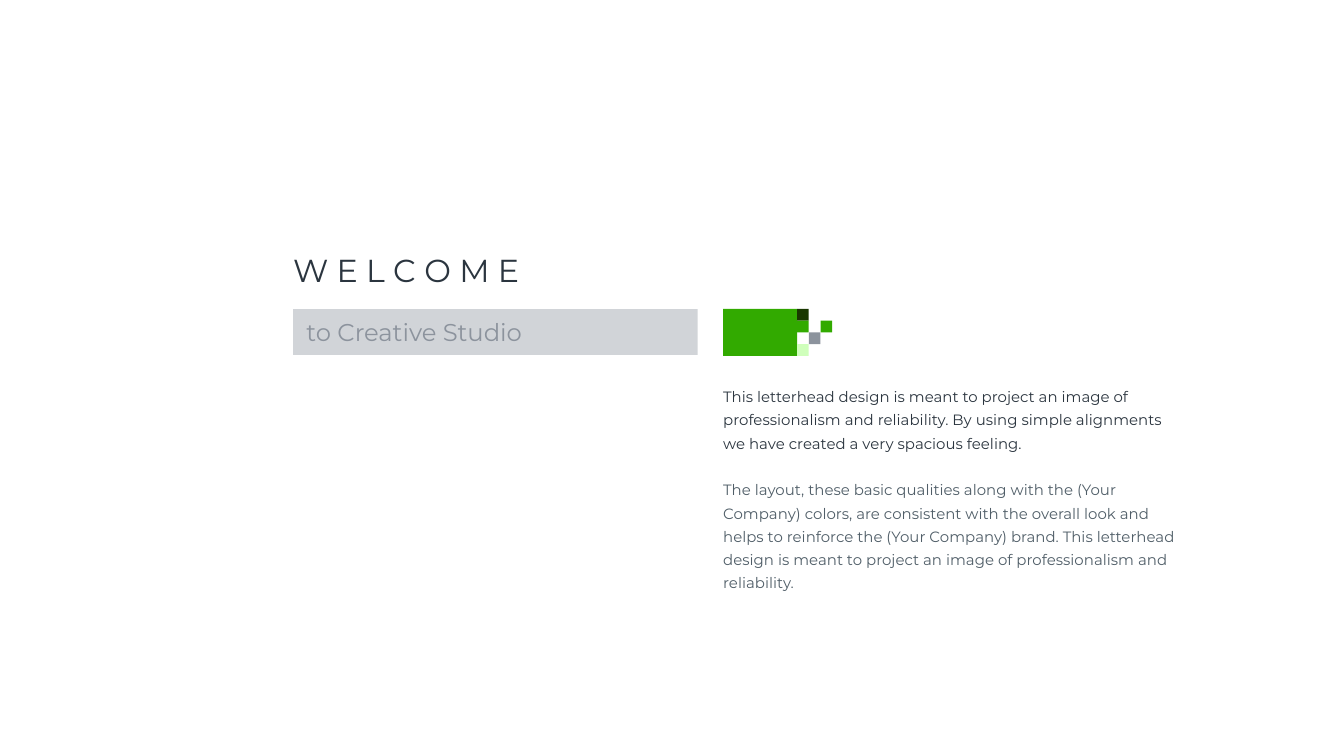
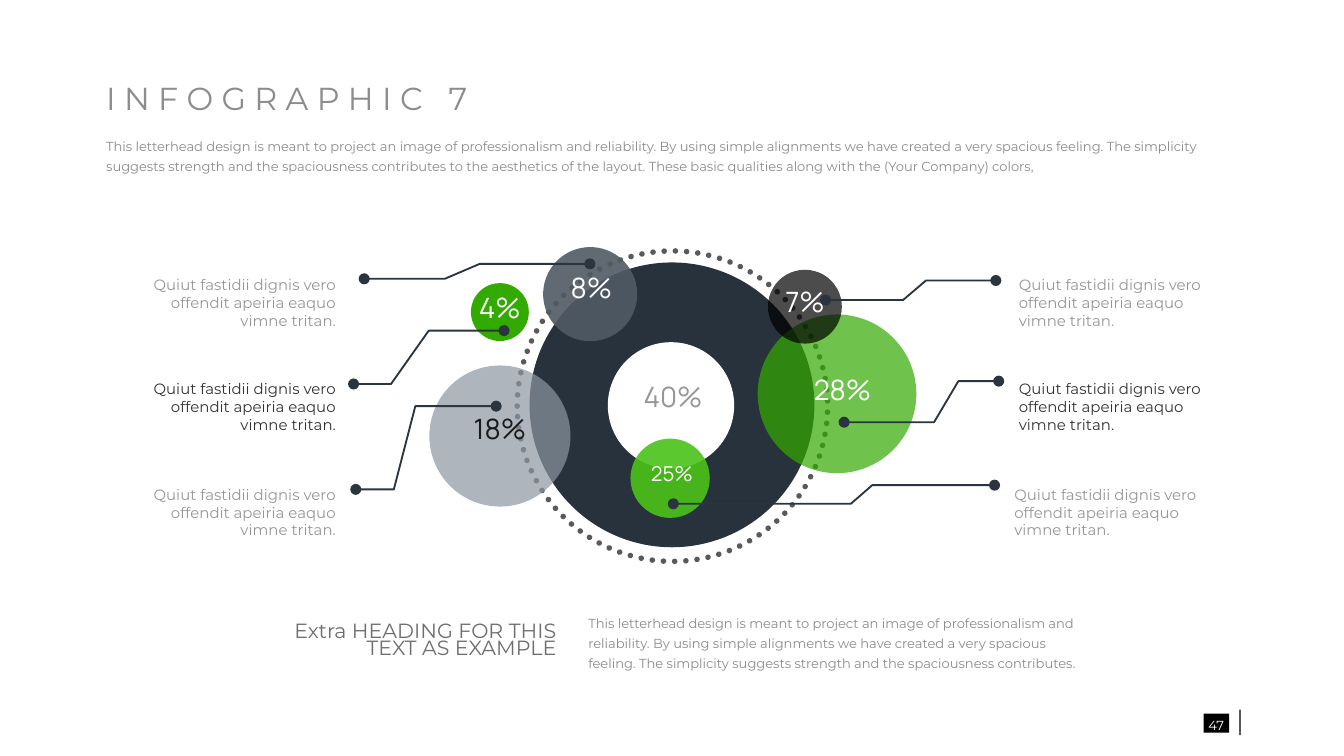
from dataclasses import dataclass

from lxml.etree import SubElement
from pptx import Presentation
from pptx.dml.color import RGBColor
from pptx.enum.dml import MSO_LINE_DASH_STYLE as Dash
from pptx.enum.shapes import MSO_SHAPE as Preset
from pptx.enum.text import MSO_ANCHOR as Anchor, PP_ALIGN as Align
from pptx.oxml.ns import qn
from pptx.util import Pt

# Colours
WHITE = RGBColor(0xFF, 0xFF, 0xFF)
BLACK = RGBColor(0x00, 0x00, 0x00)
INK = RGBColor(0x2B, 0x35, 0x3F)
RING = RGBColor(0x28, 0x32, 0x3C)
SLATE = RGBColor(0x50, 0x5A, 0x64)
BODY_SLATE = RGBColor(0x50, 0x5E, 0x68)
STEEL = RGBColor(0x8C, 0x93, 0x9D)
MIST = RGBColor(0x8C, 0x96, 0xA0)
BAND = RGBColor(0xD1, 0xD4, 0xD8)
GREEN = RGBColor(0x32, 0xAA, 0x00)
BRIGHT_GREEN = RGBColor(0x4B, 0xC3, 0x19)
DARK_GREEN = RGBColor(0x19, 0x37, 0x00)
PALE_GREEN = RGBColor(0xCF, 0xFF, 0xBB)
DOTS = RGBColor(0x5A, 0x5A, 0x5A)
HEADING = RGBColor(0x6E, 0x6E, 0x6E)
TEXT_GREY = RGBColor(0x8C, 0x8C, 0x8C)
LABEL_GREY = RGBColor(0x96, 0x96, 0x96)
LABEL_DARK = RGBColor(0x32, 0x32, 0x32)
NEAR_BLACK = RGBColor(0x1A, 0x1A, 0x1A)

# Fonts and shared sizes
TEXT_FONT = "Montserrat"
NUMBER_FONT = "Manrope"
TITLE_SIZE = 17
TITLE_HEIGHT = 23.8
LOOSE = 1.3
TIGHT = 0.7


@dataclass(frozen=True)
class Box:
    left: float
    top: float
    width: float
    height: float

    def lengths(self) -> tuple:
        return Pt(self.left), Pt(self.top), Pt(self.width), Pt(self.height)


@dataclass(frozen=True)
class Style:
    size: float
    color: RGBColor
    font: str = TEXT_FONT
    align: Align = Align.LEFT
    spacing: float | None = None


@dataclass(frozen=True)
class Bubble:
    x: float
    y: float
    diameter: float
    fill: RGBColor
    opacity: int = 100


@dataclass(frozen=True)
class Value:
    text: str
    x: float
    y: float
    color: RGBColor = WHITE
    size: float = 15


@dataclass(frozen=True)
class Callout:
    label: Box
    align: Align
    color: RGBColor
    start: tuple[float, float]
    bends: tuple[float, float]
    end: tuple[float, float]


def centred(x: float, y: float, width: float, height: float) -> Box:
    return Box(x - width / 2, y - height / 2, width, height)


def add_run(paragraph, text: str, style: Style):
    run = paragraph.add_run()
    run.text = text
    run.font.name = style.font
    run.font.size = Pt(style.size)
    run.font.color.rgb = style.color
    return run


def add_paragraph(frame, style: Style, text: str = "", first: bool = True):
    paragraph = frame.paragraphs[0] if first else frame.add_paragraph()
    paragraph.alignment = style.align
    if style.spacing:
        paragraph.line_spacing = style.spacing
    if text:
        add_run(paragraph, text, style)
    return paragraph


def add_text(slide, box: Box, style: Style, text: str = ""):
    frame = slide.shapes.add_textbox(*box.lengths()).text_frame
    frame.word_wrap = True
    frame.vertical_anchor = Anchor.MIDDLE
    frame.margin_left = frame.margin_right = 0
    frame.margin_top = frame.margin_bottom = 0
    add_paragraph(frame, style, text)
    return frame


def add_filled(slide, preset: Preset, box: Box, color: RGBColor, opacity: int = 100) -> None:
    shape = slide.shapes.add_shape(preset, *box.lengths())
    shape.shadow.inherit = False
    shape.fill.solid()
    shape.fill.fore_color.rgb = color
    shape.line.fill.background()
    if opacity < 100:
        fill_color = next(shape.element.iter(qn("a:srgbClr")))
        SubElement(fill_color, qn("a:alpha"), val=str(opacity * 1000))


def add_bubble(slide, bubble: Bubble) -> None:
    box = centred(bubble.x, bubble.y, bubble.diameter, bubble.diameter)
    add_filled(slide, Preset.OVAL, box, bubble.fill, bubble.opacity)


def add_value(slide, value: Value) -> None:
    style = Style(value.size, value.color, NUMBER_FONT, Align.CENTER, 0.9)
    add_text(slide, centred(value.x, value.y, 36, 19.4), style, value.text)


def add_dotted_ring(slide, x: float, y: float, diameter: float) -> None:
    box = centred(x, y, diameter, diameter)
    ring = slide.shapes.add_shape(Preset.OVAL, *box.lengths())
    ring.shadow.inherit = False
    ring.fill.background()
    ring.line.color.rgb = DOTS
    ring.line.width = Pt(3)
    ring.line.dash_style = Dash.ROUND_DOT
    ring.element.spPr.find(qn("a:ln")).set("cap", "rnd")


def add_callout(slide, callout: Callout) -> None:
    style = Style(8, callout.color, align=callout.align)
    add_text(slide, callout.label, style, CALLOUT_TEXT)
    (start_x, start_y), (end_x, end_y) = callout.start, callout.end
    first_bend, second_bend = callout.bends
    builder = slide.shapes.build_freeform(Pt(start_x), Pt(start_y))
    corners = [(first_bend, start_y), (second_bend, end_y), (end_x, end_y)]
    builder.add_line_segments([(Pt(x), Pt(y)) for x, y in corners], close=False)
    leader = builder.convert_to_shape()
    leader.shadow.inherit = False
    leader.fill.background()
    leader.line.color.rgb = INK
    leader.line.width = Pt(1)
    line = leader.element.spPr.find(qn("a:ln"))
    for tag in ("a:headEnd", "a:tailEnd"):
        SubElement(line, qn(tag), type="oval")


def add_page_number(slide, number: str) -> None:
    add_filled(slide, Preset.RECTANGLE, Box(644.8, 382.4, 13.7, 10.2), BLACK)
    style = Style(7, WHITE, align=Align.CENTER, spacing=LOOSE)
    add_text(slide, Box(643.2, 381.6, 16.6, 11.5), style, number)
    add_filled(slide, Preset.RECTANGLE, Box(664, 380.2, 0.6, 13.7), BLACK)


# Wording
PROJECT = "This letterhead design is meant to project an image of professionalism and reliability."
SPACIOUS = PROJECT + " By using simple alignments we have created a very spacious feeling."
STRENGTH = SPACIOUS + " The simplicity suggests strength and the spaciousness contributes"
LAYOUT = (
    "The layout, these basic qualities along with the (Your Company) colors, are consistent "
    "with the overall look and helps to reinforce the (Your Company) brand. " + PROJECT
)
INTRO = STRENGTH + (
    " to the aesthetics of the layout. These basic qualities along with the (Your Company) colors,"
)
CALLOUT_TEXT = "Quiut fastidii dignis vero offendit apeiria eaquo vimne tritan."

# Pixel flag: column, row, colour
PIXEL = 6.3
FLAG_LEFT, FLAG_TOP, FLAG_WIDTH = 387.4, 165.5, 39.6
FLAG_PIXELS = [
    (0, 0, DARK_GREEN),
    (0, 1, GREEN),
    (1, 2, STEEL),
    (0, 3, PALE_GREEN),
    (2, 1, GREEN),
]

# Infographic parts, from back to front
BUBBLES = [
    (Bubble(316.2, 157.6, 50.4, SLATE, 90), Value("8%", 316.8, 155.2)),
    (Bubble(267.8, 167.2, 31, GREEN), Value("4%", 267.8, 166)),
    (Bubble(267.8, 233.6, 75.6, MIST, 70), Value("18%", 267.8, 230.8, NEAR_BLACK)),
    (Bubble(359.5, 217.2, 67.7, WHITE), Value("40%", 360.6, 213.5, LABEL_GREY)),
    (Bubble(448.4, 211, 85, GREEN, 70), Value("28%", 451.4, 209.9)),
    (Bubble(431.2, 164.3, 39.6, BLACK, 70), Value("7%", 431.3, 162.4)),
    (Bubble(359, 256.2, 42.5, BRIGHT_GREEN, 90), Value("25%", 360, 254.4, size=11)),
]


def label_box(left: float, row: int, width: float = 106.6) -> Box:
    return Box(left, (146.9, 202.5, 259.2)[row], width, 30.2)


CALLOUTS = [
    Callout(label_box(73.4, 0), Align.RIGHT, LABEL_GREY,
            (195.1, 149.4), (238.3, 257), (316, 141.4)),
    Callout(label_box(73.4, 1), Align.RIGHT, LABEL_DARK,
            (189.4, 205.7), (209.5, 229.7), (270, 177.1)),
    Callout(label_box(70.6, 2, 109.4), Align.RIGHT, LABEL_GREY,
            (190.6, 262.2), (211, 222.5), (265.8, 217.6)),
    Callout(label_box(545.8, 0), Align.LEFT, LABEL_GREY,
            (533.5, 150.3), (496.1, 483.8), (442.3, 160.8)),
    Callout(label_box(545.8, 1), Align.LEFT, LABEL_DARK,
            (535, 204.2), (513.4, 500.4), (452.2, 226.2)),
    Callout(label_box(543.4, 2, 109.4), Align.LEFT, LABEL_GREY,
            (532.8, 259.9), (467.3, 455.8), (360.7, 269.9)),
]


def build_welcome(slide) -> None:
    # Title and band
    add_filled(slide, Preset.RECTANGLE, Box(157, 165.6, 216.7, 24.6), BAND)
    add_text(slide, Box(157, 132.5, 196.6, TITLE_HEIGHT), Style(TITLE_SIZE, INK), "W E L C O M E")
    add_text(slide, Box(164.2, 167.8, 139.7, 19.4), Style(13, STEEL), "to Creative Studio")

    # Body text
    frame = add_text(slide, Box(387.4, 213.8, 245.5, 94.3), Style(8, INK, spacing=LOOSE), SPACIOUS)
    second = add_paragraph(frame, Style(8, BODY_SLATE, spacing=LOOSE), LAYOUT, first=False)
    second.space_before = Pt(12.5)

    # Pixel flag
    flag = Box(FLAG_LEFT, FLAG_TOP, FLAG_WIDTH, 4 * PIXEL)
    add_filled(slide, Preset.RECTANGLE, flag, GREEN)
    for column, row, color in FLAG_PIXELS:
        left = FLAG_LEFT + FLAG_WIDTH + column * PIXEL
        pixel = Box(left, FLAG_TOP + row * PIXEL, PIXEL, PIXEL)
        add_filled(slide, Preset.RECTANGLE, pixel, color)


def build_infographic(slide) -> None:
    # Ring and bubbles
    add_dotted_ring(slide, 360.2, 217.6, 166.3)
    add_bubble(slide, Bubble(360, 216.9, 152.6, RING))
    for bubble, value in BUBBLES:
        add_bubble(slide, bubble)
        add_value(slide, value)

    # Labels with leader lines
    for callout in CALLOUTS:
        add_callout(slide, callout)

    # Title, with a wider gap before the number
    style = Style(TITLE_SIZE, TEXT_GREY, spacing=TIGHT)
    title = add_text(slide, Box(56.9, 43.2, 317.5, TITLE_HEIGHT), style).paragraphs[0]
    add_run(title, "I N F O G R A P H I C", style)
    gap = add_run(title, " ", style)
    gap.font._element.set("spc", "900")
    add_run(title, "7", style)

    # Intro and closing text
    small = Style(7, TEXT_GREY, spacing=LOOSE)
    add_text(slide, Box(56.9, 71.3, 598.3, 22.3), small, INTRO)
    heading = Style(11, HEADING, align=Align.RIGHT, spacing=TIGHT)
    add_text(slide, Box(148.3, 330.5, 149.8, 26.6), heading, "Extra HEADING FOR THIS TEXT AS EXAMPLE")
    add_text(slide, Box(315.2, 326.9, 270.7, 33.1), small, STRENGTH + ".")
    add_page_number(slide, "47")


def main() -> None:
    presentation = Presentation()
    presentation.slide_width = Pt(720)
    presentation.slide_height = Pt(405)
    blank = presentation.slide_layouts[6]
    for build in (build_welcome, build_infographic):
        build(presentation.slides.add_slide(blank))
    presentation.save("out.pptx")


if __name__ == "__main__":
    main()
